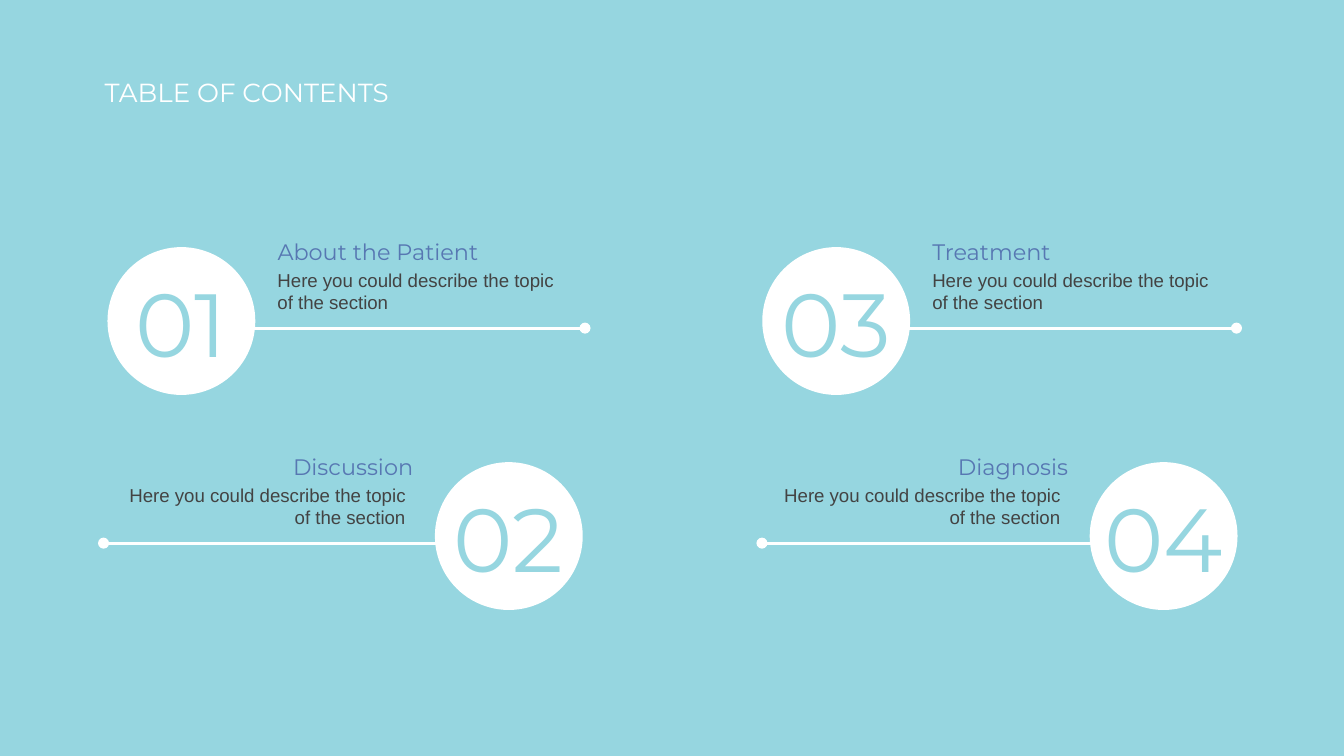
from pptx import Presentation
from pptx.dml.color import RGBColor
from pptx.enum.shapes import MSO_CONNECTOR, MSO_SHAPE
from pptx.enum.text import MSO_ANCHOR, PP_ALIGN
from pptx.oxml.ns import qn
from pptx.util import Pt
from lxml.etree import SubElement

AQUA = RGBColor(0x96, 0xD6, 0xE0)
WHITE = RGBColor(0xFF, 0xFF, 0xFF)
BLUE = RGBColor(0x57, 0x77, 0xB2)
GRAY = RGBColor(0x43, 0x43, 0x43)

CIRCLE = 79.2
CARD_WIDTH = 254.6
COLUMNS = (57.6, 408.4)
ROWS = (132.4, 247.6)
TOPIC = "Here you could describe the topic of the section"
CARDS = (
    ("01", "About the Patient", 0, 0, 1.2),
    ("02", "Discussion", 0, 1, 2.1),
    ("03", "Treatment", 1, 0, -0.6),
    ("04", "Diagnosis", 1, 1, 0.2),
)


def add_text(slide, text, box, font, size, color,
             align=PP_ALIGN.LEFT, anchor=MSO_ANCHOR.TOP):
    """Add one wrapped paragraph inside the box."""
    tf = slide.shapes.add_textbox(*map(Pt, box)).text_frame
    tf.word_wrap = True
    tf.vertical_anchor = anchor
    tf.margin_left = tf.margin_right = tf.margin_top = tf.margin_bottom = Pt(7.2)
    p = tf.paragraphs[0]
    p.text = text
    p.alignment = align
    p.font.name = font
    p.font.size = Pt(size)
    p.font.color.rgb = color


def add_dotted_line(slide, x1, x2, y):
    """Draw a horizontal white line that ends in a dot."""
    line = slide.shapes.add_connector(MSO_CONNECTOR.STRAIGHT, Pt(x1), Pt(y), Pt(x2), Pt(y))
    line.line.color.rgb = WHITE
    line.line.width = Pt(1.5)
    SubElement(line.line._get_or_add_ln(), qn("a:tailEnd"), type="oval", w="med", len="med")
    SubElement(line._element.spPr, qn("a:effectLst"))


def add_circle(slide, left, top):
    """Draw a plain white circle."""
    circle = slide.shapes.add_shape(MSO_SHAPE.OVAL, Pt(left), Pt(top), Pt(CIRCLE), Pt(CIRCLE))
    circle.shadow.inherit = False
    circle.fill.solid()
    circle.fill.fore_color.rgb = WHITE
    circle.line.fill.background()


def add_card(slide, left, top, width, number, heading, flipped, overhang):
    """Place a numbered section, with the circle on the right when flipped."""
    if flipped:
        circle_left, text_left = left + width - CIRCLE, left + 3.9
        line_end, align = left - overhang, PP_ALIGN.RIGHT
    else:
        circle_left, text_left = left, left + 84
        line_end, align = left + width + overhang, PP_ALIGN.LEFT
    add_dotted_line(slide, circle_left + CIRCLE / 2, line_end, top + 43.4)
    add_circle(slide, circle_left, top)
    add_text(slide, heading, (text_left, top - 12.2, 167, 39.6),
             "Montserrat", 12, BLUE, align)
    add_text(slide, TOPIC, (text_left, top + 4.4, 162.7, 27.4),
             "Arial", 10, GRAY, align)
    add_text(slide, number, (circle_left - 5.8, top + 18.7, CIRCLE + 11.6, 42.5),
             "Montserrat", 48, AQUA, PP_ALIGN.CENTER, MSO_ANCHOR.MIDDLE)


def build_contents(slide):
    """Fill the slide with the title and the four sections."""
    slide.background.fill.solid()
    slide.background.fill.fore_color.rgb = AQUA
    add_text(slide, "TABLE OF CONTENTS", (49, 33.8, 206, 69), "Montserrat", 14, WHITE)
    for number, heading, column, row, overhang in CARDS:
        add_card(slide, COLUMNS[column], ROWS[row], CARD_WIDTH,
                 number, heading, row == 1, overhang)


def main():
    """Build and save the presentation."""
    prs = Presentation()
    prs.slide_width, prs.slide_height = Pt(720), Pt(405)
    build_contents(prs.slides.add_slide(prs.slide_layouts[6]))
    prs.save("out.pptx")


if __name__ == "__main__":
    main()
